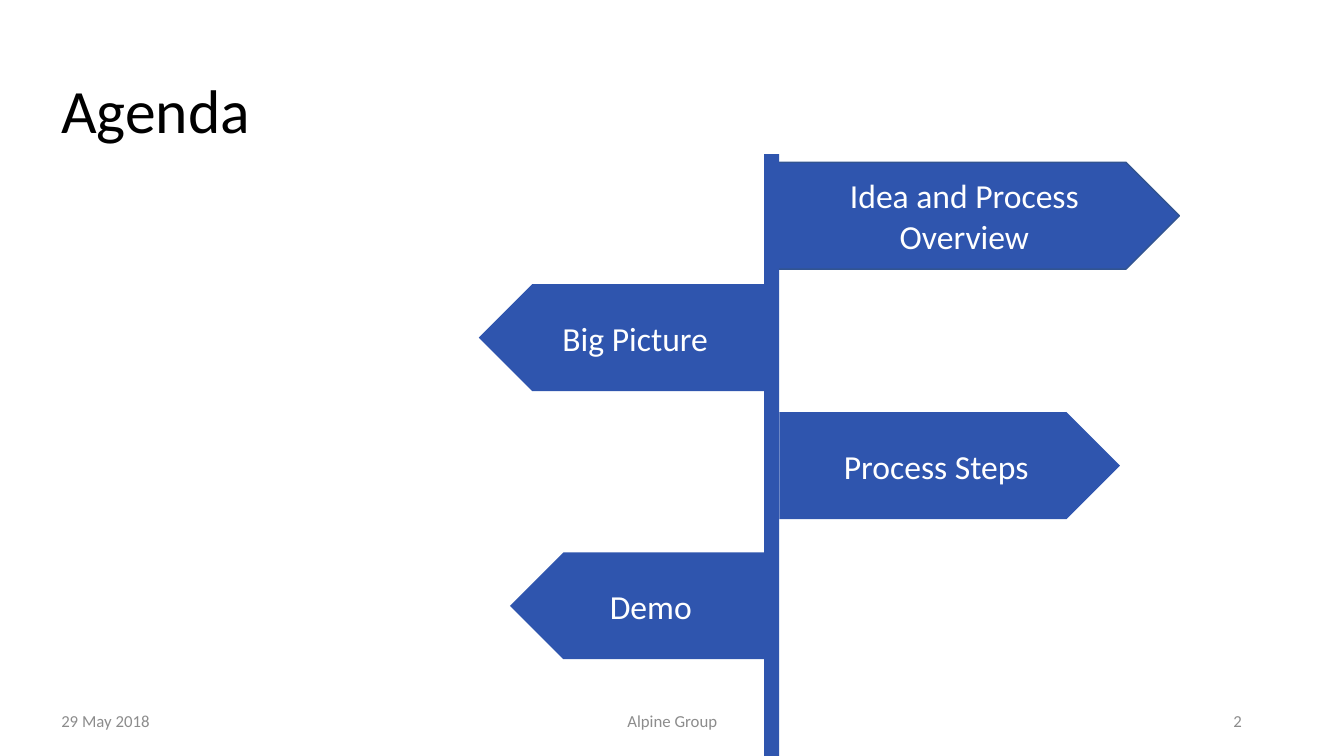
from pptx import Presentation
from pptx.dml.color import RGBColor
from pptx.enum.shapes import MSO_SHAPE as Preset
from pptx.enum.text import MSO_ANCHOR as Anchor, PP_ALIGN as Align
from pptx.util import Inches, Pt

WIDTH, HEIGHT = Inches(13.33), Inches(7.5)
BLACK = RGBColor(0x00, 0x00, 0x00)
WHITE = RGBColor(0xFF, 0xFF, 0xFF)
GRAY = RGBColor(0x8C, 0x8C, 0x8C)
BLUE = RGBColor(0x2F, 0x55, 0xAE)
EDGE_BLUE = RGBColor(0x32, 0x54, 0x91)

# Positions are in percent of the slide's width and height
SIGN_HEIGHT = 14.13
FOOTER_TOP, FOOTER_HEIGHT = 92.67, 5.33

# Text, left, top, width, points left, edge colour
SIGNS = [
    ("Idea and Process Overview", 57.75, 21.47, 30, False, EDGE_BLUE),
    ("Big Picture", 35.63, 37.6, 21.3, True, None),
    ("Process Steps", 57.98, 54.53, 25.35, False, None),
    ("Demo", 37.95, 73.07, 18.98, True, None),
]

# Text, left, width, alignment
FOOTERS = [
    ("29 May 2018", 3.82, 25.58, Align.LEFT),
    ("Alpine Group", 33.15, 33.75, Align.CENTER),
    ("2", 70.65, 22.5, Align.RIGHT),
]


def place(left, top, width, height):
    """Turn shares of the slide into lengths."""
    return (int(WIDTH * left / 100), int(HEIGHT * top / 100),
            int(WIDTH * width / 100), int(HEIGHT * height / 100))


def write(shape, text, size, color, align, line_spacing=1.0):
    frame = shape.text_frame
    frame.word_wrap = True
    frame.vertical_anchor = Anchor.MIDDLE
    paragraph = frame.paragraphs[0]
    paragraph.text = text
    paragraph.alignment = align
    paragraph.line_spacing = line_spacing
    for name, value in {"name": "Calibri", "size": Pt(size)}.items():
        setattr(paragraph.font, name, value)
    paragraph.font.color.rgb = color


def add_label(slide, box, *text_format):
    write(slide.shapes.add_textbox(*place(*box)), *text_format)


def add_block(slide, preset, box, edge=None):
    shape = slide.shapes.add_shape(preset, *place(*box))
    shape.shadow.inherit = False
    shape.fill.solid()
    shape.fill.fore_color.rgb = BLUE
    if edge is None:
        shape.line.fill.background()
    else:
        shape.line.color.rgb = edge
        shape.line.width = Pt(1)
    return shape


def add_sign(slide, text, left, top, width, points_left, edge):
    sign = add_block(slide, Preset.PENTAGON, (left, top, width, SIGN_HEIGHT), edge)
    if points_left:
        sign.element.spPr.xfrm.set("flipH", "1")
    write(sign, text, 24, WHITE, Align.CENTER)


def main():
    presentation = Presentation()
    presentation.slide_width, presentation.slide_height = WIDTH, HEIGHT
    slide = presentation.slides.add_slide(presentation.slide_layouts[6])

    # Title
    add_label(slide, (3.82, 5.33, 89.33, 19.33), "Agenda", 44, BLACK, Align.LEFT, 0.9)

    # Footer
    for text, left, width, align in FOOTERS:
        add_label(slide, (left, FOOTER_TOP, width, FOOTER_HEIGHT), text, 12, GRAY, align)

    # Signs, then the post in front of their inner ends
    for sign in SIGNS:
        add_sign(slide, *sign)
    add_block(slide, Preset.RECTANGLE, (56.85, 20.4, 1.13, 79.6))

    presentation.save("out.pptx")


if __name__ == "__main__":
    main()
